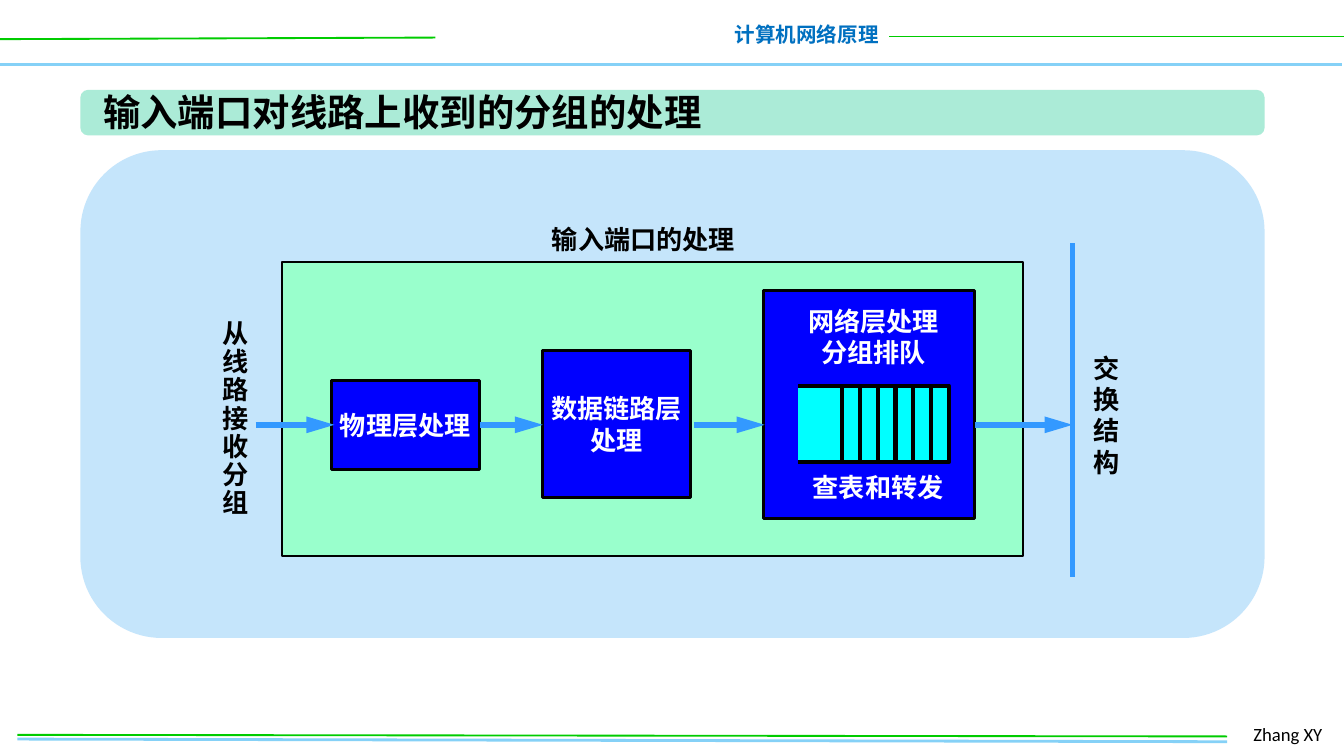
from lxml.etree import SubElement
from pptx import Presentation
from pptx.dml.color import RGBColor
from pptx.enum.shapes import MSO_CONNECTOR as Link, MSO_SHAPE as Kind
from pptx.enum.text import MSO_ANCHOR as Anchor, PP_ALIGN as Align
from pptx.oxml.ns import qn
from pptx.util import Cm, Pt

BLACK = RGBColor(0x00, 0x00, 0x00)
WHITE = RGBColor(0xFF, 0xFF, 0xFF)
GREEN = RGBColor(0x00, 0xCC, 0x00)
SKY = RGBColor(0x85, 0xD1, 0xF7)
TITLE = RGBColor(0x00, 0x70, 0xC0)
PANEL = RGBColor(0xC5, 0xE5, 0xFB)
MINT = RGBColor(0xAB, 0xEB, 0xD7)
PORT = RGBColor(0x99, 0xFF, 0xCC)
BLUE = RGBColor(0x00, 0x00, 0xFF)
FLOW = RGBColor(0x33, 0x99, 0xFF)
CYAN = RGBColor(0x00, 0xFF, 0xFF)
HAN = "Noto Sans CJK SC"


def write(frame, text, size=14, color=BLACK, bold=True, font=HAN,
          align=Align.LEFT, wrap=False, anchor=Anchor.TOP, space=None):
    for key, val in {"word_wrap": wrap, "vertical_anchor": anchor}.items():
        setattr(frame, key, val)
    style = {"size": Pt(size), "bold": bold, "name": font}
    for i, row in enumerate(text.split("\n")):
        para = frame.paragraphs[0] if i == 0 else frame.add_paragraph()
        para.alignment = align
        if space:
            para.line_spacing = space
        run = para.add_run()
        run.text = row
        for key, val in style.items():
            setattr(run.font, key, val)
        run.font.color.rgb = color
        # East Asian typeface
        SubElement(run.font._element, qn("a:ea"), typeface=font)


def label(slide, area, text, **form):
    box = slide.shapes.add_textbox(*map(Cm, area))
    write(box.text_frame, text, **form)


def paint(shape, fill, width=0):
    shape.shadow.inherit = False
    shape.fill.solid()
    shape.fill.fore_color.rgb = fill
    if width:
        shape.line.color.rgb = BLACK
        shape.line.width = Pt(width)
    else:
        shape.line.fill.background()


def block(slide, area, fill, width=0, kind=Kind.RECTANGLE, text=None):
    shape = slide.shapes.add_shape(kind, *map(Cm, area))
    paint(shape, fill, width)
    if text:
        write(shape.text_frame, text, color=WHITE, align=Align.CENTER,
              anchor=Anchor.MIDDLE)
    return shape


def line(slide, ends, color, width, arrow=False):
    link = slide.shapes.add_connector(Link.STRAIGHT, *map(Cm, ends))
    link.line.color.rgb = color
    link.line.width = Pt(width)
    if arrow:
        SubElement(link.line._get_or_add_ln(), qn("a:tailEnd"),
                   type="triangle", w="med", len="lg")
    SubElement(link._element.spPr, qn("a:effectLst"))


def queue(slide, left, top, wide, high):
    # Box open on the left, where packets enter
    right, base = left + wide, top + high
    path = slide.shapes.build_freeform(Cm(left), Cm(top))
    path.add_line_segments([(Cm(x), Cm(y)) for x, y in
                            ((right, top), (right, base), (left, base))],
                           close=False)
    paint(path.convert_to_shape(), CYAN, 2.25)
    # Waiting packets
    for i in range(6, 0, -1):
        x = right - i * 0.335
        line(slide, (x, top, x, base), BLACK, 2.25)


def frame(slide):
    # Header and footer
    for ends, color, width in (
            ((0, 1.22, 25.37, 1.22), SKY, 2),
            ((0, 0.74, 8.23, 0.71), GREEN, 1),
            ((16.81, 0.69, 25.4, 0.69), GREEN, 1),
            ((0.33, 13.97, 23.19, 14.02), SKY, 1.5),
            ((0.33, 13.89, 23.19, 13.92), GREEN, 1)):
        line(slide, ends, color, width)
    label(slide, (13.61, 0.3, 3.25, 0.74), "计算机网络原理", size=11,
          color=TITLE, align=Align.RIGHT)
    label(slide, (23.44, 13.54, 1.88, 0.69), "Zhang XY", size=10,
          bold=False, font="Calibri", wrap=True)
    # Panel and title
    block(slide, (1.52, 2.84, 22.38, 9.22), PANEL, kind=Kind.ROUNDED_RECTANGLE)
    bar = block(slide, (1.52, 1.7, 22.38, 0.86), MINT,
                kind=Kind.ROUNDED_RECTANGLE)
    bar.adjustments[0] = 0.167
    label(slide, (1.7, 1.57, 12.12, 1.12),
          "输入端口对线路上收到的分组的处理", size=20)


def diagram(slide):
    # Input port and its layers
    block(slide, (5.33, 4.95, 14, 5.56), PORT, 1)
    for area, text in (((6.27, 7.19, 2.79, 1.68), "物理层处理"),
                       ((10.26, 6.63, 2.79, 2.77), "数据链路层\n处理"),
                       ((14.43, 5.49, 3.99, 4.32), None)):
        block(slide, area, BLUE, 1.5, text=text)
    # Packet flow into the switching fabric
    mid = 8.03
    for start, end in ((4.83, 6.32), (9.07, 10.26),
                       (13.11, 14.45), (18.42, 20.27)):
        line(slide, (start, mid, end, mid), FLOW, 3, arrow=True)
    line(slide, (20.27, 4.6, 20.27, 10.9), FLOW, 3)
    queue(slide, 15.09, 7.29, 2.84, 1.45)
    # Captions
    label(slide, (15.01, 5.64, 3, 1.45), "网络层处理\n分组排队",
          color=WHITE, align=Align.CENTER)
    label(slide, (15.11, 8.79, 3, 0.86), "查表和转发", color=WHITE)
    label(slide, (10.02, 4.09, 4.29, 0.86), "输入端口的处理",
          align=Align.CENTER)
    label(slide, (20.42, 6.53, 1.02, 2.64), "\n".join("交换结构"))
    label(slide, (3.96, 5.94, 1.02, 4.04), "\n".join("从线路接收分组"),
          space=0.9)


def main():
    deck = Presentation()
    for key, val in {"slide_width": 25.4, "slide_height": 14.29}.items():
        setattr(deck, key, Cm(val))
    slide = deck.slides.add_slide(deck.slide_layouts[6])
    frame(slide)
    diagram(slide)
    deck.save("out.pptx")


if __name__ == "__main__":
    main()
